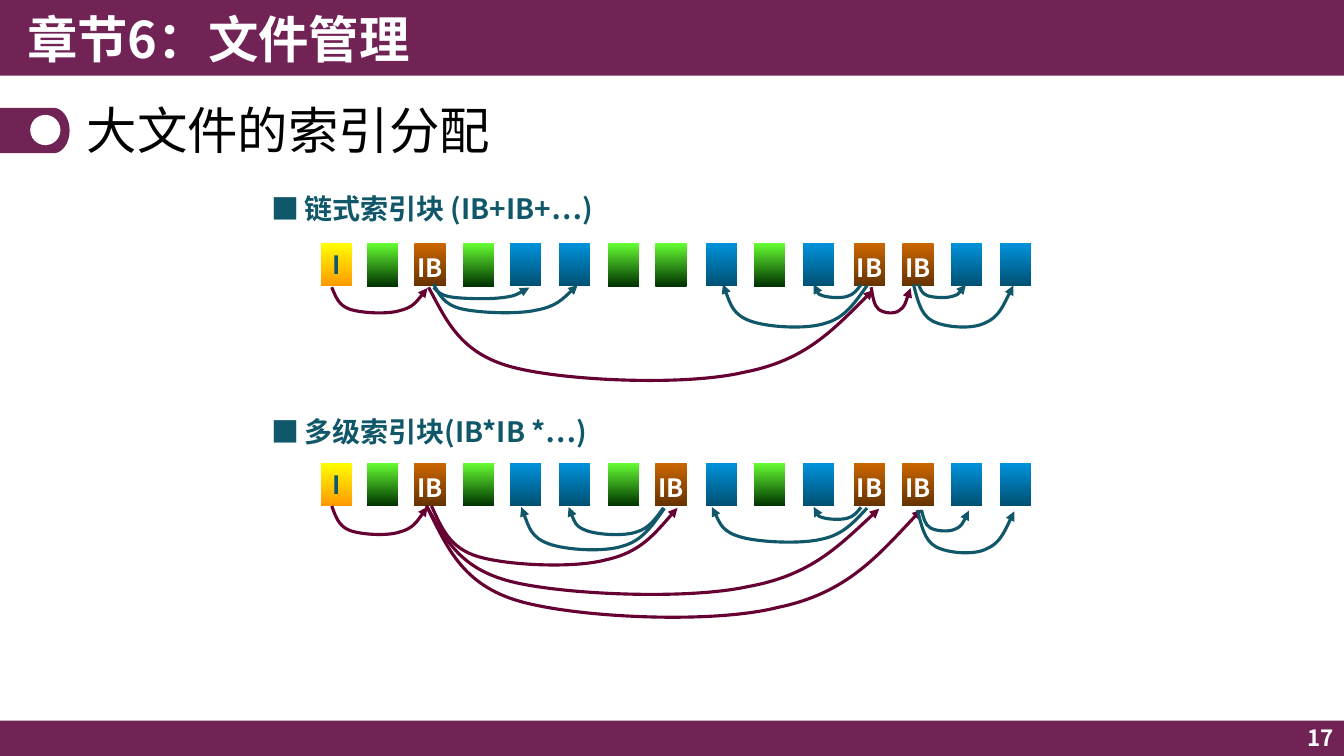
import math

import pptx
import pptx.dml.color
import pptx.enum.dml
import pptx.enum.shapes
import pptx.enum.text
import pptx.oxml
import pptx.oxml.ns
import pptx.util

Inches = pptx.util.Inches
SHAPE = pptx.enum.shapes.MSO_SHAPE
ALIGN = pptx.enum.text.PP_ALIGN
ANCHOR = pptx.enum.text.MSO_ANCHOR
SANS = "Noto Sans CJK SC"
PLUM, TEAL, WINE, WHITE = "712355", "11576A", "660033", "FFFFFF"

BLOCK_OFFSETS = [0.59, 1.05, 1.52, 2.0, 2.47, 2.95, 3.44, 3.91,
                 4.41, 4.89, 5.37, 5.88, 6.36, 6.84, 7.33]
BLOCK_STYLES = {
    "I": ("FFFF00", "FF9900", "I", TEAL, 0),
    "X": ("CC6600", "663300", "IB", WHITE, 0.06),
    "D": ("0093DD", "005072", "", WHITE, 0),
    "F": ("66FF33", "003300", "", WHITE, 0),
}
ARC_SHAPE = [(0.04, 0.33), (0.07, 0.67), (0.19, 0.81), (0.31, 0.95), (0.58, 1),
             (0.71, 0.86), (0.85, 0.74), (0.92, 0.38), (1, 0.03)]

CHAINED_ARCS = [
    (0.7, 0.44, 0.95, 0.27, WINE, "tail"),
    (6.05, 0.44, 0.39, 0.27, WINE, "tail"),
    (1.66, 0.44, 4.41, 0.98, WINE, "tail"),
    (1.71, 0.44, 0.95, 0.12, TEAL, "tail"),
    (1.71, 0.41, 1.43, 0.3, TEAL, "tail"),
    (4.58, 0.41, 1.43, 0.45, TEAL, "head"),
    (5.48, 0.41, 0.47, 0.14, TEAL, "head"),
    (6.52, 0.41, 0.47, 0.14, TEAL, "tail"),
    (6.47, 0.41, 0.99, 0.45, TEAL, "tail"),
]
MULTILEVEL_ARCS = [
    (0.7, 0.43, 0.95, 0.3, WINE, "tail"),
    (1.69, 0.43, 2.44, 0.62, WINE, "tail"),
    (1.64, 0.43, 4.49, 0.93, WINE, "tail"),
    (1.64, 0.43, 4.91, 1.17, WINE, "tail"),
    (6.55, 0.47, 0.47, 0.22, TEAL, "tail"),
    (6.51, 0.47, 0.96, 0.45, TEAL, "tail"),
    (4.47, 0.44, 1.54, 0.37, TEAL, "head"),
    (5.48, 0.44, 0.47, 0.13, TEAL, "head"),
    (3.05, 0.44, 0.94, 0.29, TEAL, "head"),
    (2.58, 0.44, 1.42, 0.45, TEAL, "head"),
]


def rgb(value):
    """Turn a hex string into a colour."""
    return pptx.dml.color.RGBColor.from_string(value)


def element(tag, **attributes):
    """Make a drawing element with the given attributes."""
    node = pptx.oxml.parse_xml(f"<{tag} {pptx.oxml.ns.nsdecls('a')}/>")
    for key, value in attributes.items():
        node.set(key, value)
    return node


def write(frame, wording, size, color, bold=True, align=ALIGN.LEFT, face=SANS):
    """Put one formatted run into the first paragraph of a frame."""
    paragraph = frame.paragraphs[0]
    paragraph.alignment = align
    run = paragraph.add_run()
    run.text = wording
    run.font.size = pptx.util.Pt(size)
    run.font.bold = bold
    run.font.color.rgb = rgb(color)
    run.font.name = face
    run.font._element.append(element("a:ea", typeface=face))


def add_label(slide, box, wording, size, color, anchor=ANCHOR.TOP, **style):
    """Add a wrapped text box."""
    frame = slide.shapes.add_textbox(*map(Inches, box)).text_frame
    frame.word_wrap = True
    frame.vertical_anchor = anchor
    write(frame, wording, size, color, **style)


def paint(shape, color):
    """Fill a shape plainly, without outline or shadow."""
    shape.shadow.inherit = False
    shape.line.fill.background()
    shape.fill.solid()
    shape.fill.fore_color.rgb = rgb(color)


def add_band(slide, box, caption_box, caption, size, align):
    """Draw a full-width band with its caption."""
    paint(slide.shapes.add_shape(SHAPE.RECTANGLE, *map(Inches, box)), PLUM)
    add_label(slide, caption_box, caption, size, WHITE, ANCHOR.MIDDLE, align=align)


def add_title_marker(slide, left, top, width, height):
    """Draw the round-ended tab with a white dot beside the title."""
    radius, bulge = height / 2, 0.16
    straight = left + width - bulge
    angles = [math.radians(degree) for degree in range(-90, 91, 6)]
    rim = [(Inches(straight + bulge * math.cos(angle)),
            Inches(top + radius + radius * math.sin(angle))) for angle in angles]
    outline = slide.shapes.build_freeform(Inches(left), Inches(top))
    outline.add_line_segments(rim + [(Inches(left), Inches(top + height))], close=True)
    paint(outline.convert_to_shape(), PLUM)
    dot = (left + 0.3, top + 0.07, 0.3, 0.3)
    paint(slide.shapes.add_shape(SHAPE.OVAL, *map(Inches, dot)), WHITE)


def add_title(slide, box, wording):
    """Place the slide title in its placeholder."""
    title = slide.shapes.title
    title.left, title.top, title.width, title.height = map(Inches, box)
    title.text_frame.auto_size = pptx.enum.text.MSO_AUTO_SIZE.NONE
    title.text_frame.vertical_anchor = ANCHOR.MIDDLE
    write(title.text_frame, wording, 36, "000000", bold=False)
    title.text_frame.paragraphs[0].line_spacing = 0.9


def add_block(slide, left, top, kind):
    """Draw one disk block with its gradient and letters."""
    upper, lower, letters, color, drop = BLOCK_STYLES[kind]
    block = slide.shapes.add_shape(
        SHAPE.RECTANGLE, Inches(left), Inches(top), Inches(0.31), Inches(0.43))
    paint(block, upper)
    block.fill.gradient()
    block.fill.gradient_angle = 270
    for stop, shade in zip(block.fill.gradient_stops, (upper, lower)):
        stop.color.rgb = rgb(shade)
    if letters:
        frame = block.text_frame
        frame.margin_left = frame.margin_right = frame.margin_bottom = 0
        frame.margin_top = Inches(drop)
        frame.word_wrap = False
        frame.vertical_anchor = ANCHOR.MIDDLE
        write(frame, letters, 18, color, align=ALIGN.CENTER)


def add_arc(slide, left, top, width, depth, color, arrow_end):
    """Draw a sagging pointer made of three Bézier curves."""
    outline = slide.shapes.build_freeform(Inches(left), Inches(top))
    outline.add_line_segments(
        [(Inches(left + x * width), Inches(top + y * depth)) for x, y in ARC_SHAPE],
        close=False)
    arc = outline.convert_to_shape()
    steps = list(arc._element.iter(pptx.oxml.ns.qn("a:lnTo")))
    track = steps[0].getparent()
    for first in range(0, len(steps), 3):
        curve = element("a:cubicBezTo")
        track.append(curve)
        for step in steps[first:first + 3]:
            curve.append(step[0])
            track.remove(step)
    arc.shadow.inherit = False
    arc.fill.background()
    arc.line.width = pptx.util.Pt(2.25)
    arc.line.color.rgb = rgb(color)
    arc.line._get_or_add_ln().append(element(f"a:{arrow_end}End", type="triangle"))


def add_index_scheme(slide, left, top, row_drop, heading, kinds, arcs):
    """Draw a heading, its row of blocks and the pointers below."""
    add_label(slide, (left + 0.33, top, 3.44, 0.47), heading, 20, TEAL)
    add_label(slide, (left, top, 0.47, 0.44), "■", 20, TEAL, face="Noto Sans CJK JP")
    row_top = top + row_drop
    for offset, kind in zip(BLOCK_OFFSETS, kinds):
        add_block(slide, left + offset, row_top, kind)
    for x, y, *form in arcs:
        add_arc(slide, left + x, row_top + y, *form)


def main():
    """Build and save the slide."""
    deck = pptx.Presentation()
    deck.slide_width, deck.slide_height = Inches(13.33), Inches(7.5)
    slide = deck.slides.add_slide(deck.slide_layouts[5])
    add_band(slide, (0, 7.15, 13.33, 0.35), (10.33, 7.14, 3, 0.36),
             "17", 16, ALIGN.RIGHT)
    add_band(slide, (0, 0, 13.33, 0.75), (0.17, 0, 6.67, 0.77),
             "章节6：文件管理", 36, ALIGN.LEFT)
    add_title_marker(slide, 0, 1.07, 0.69, 0.45)
    add_title(slide, (0.76, 0.95, 11.81, 0.74), "大文件的索引分配")
    add_index_scheme(slide, 2.59, 1.85, 0.56, "链式索引块 (IB+IB+…)",
                     "IFXFDDFFDFDXXDD", CHAINED_ARCS)
    add_index_scheme(slide, 2.59, 4.06, 0.53, "多级索引块(IB*IB *…)",
                     "IFXFDDFXDFDXXDD", MULTILEVEL_ARCS)
    deck.save("out.pptx")


if __name__ == "__main__":
    main()
